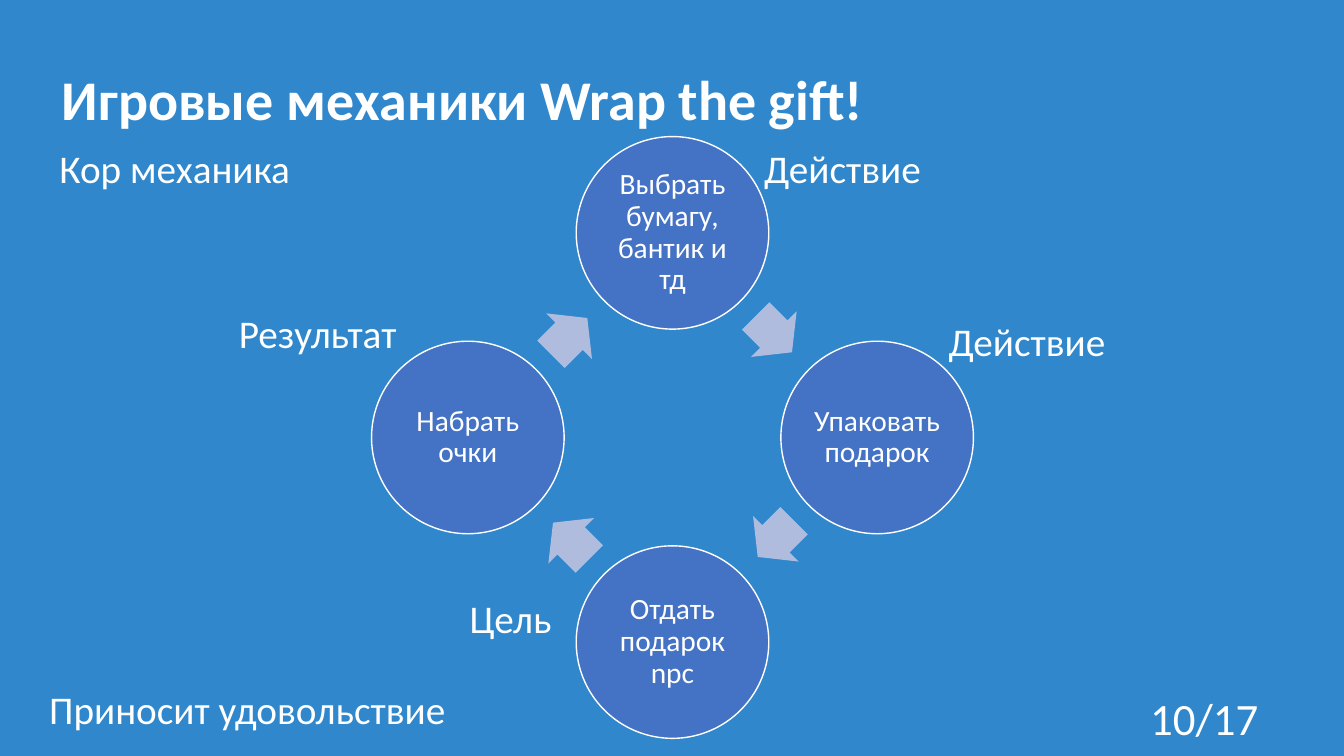
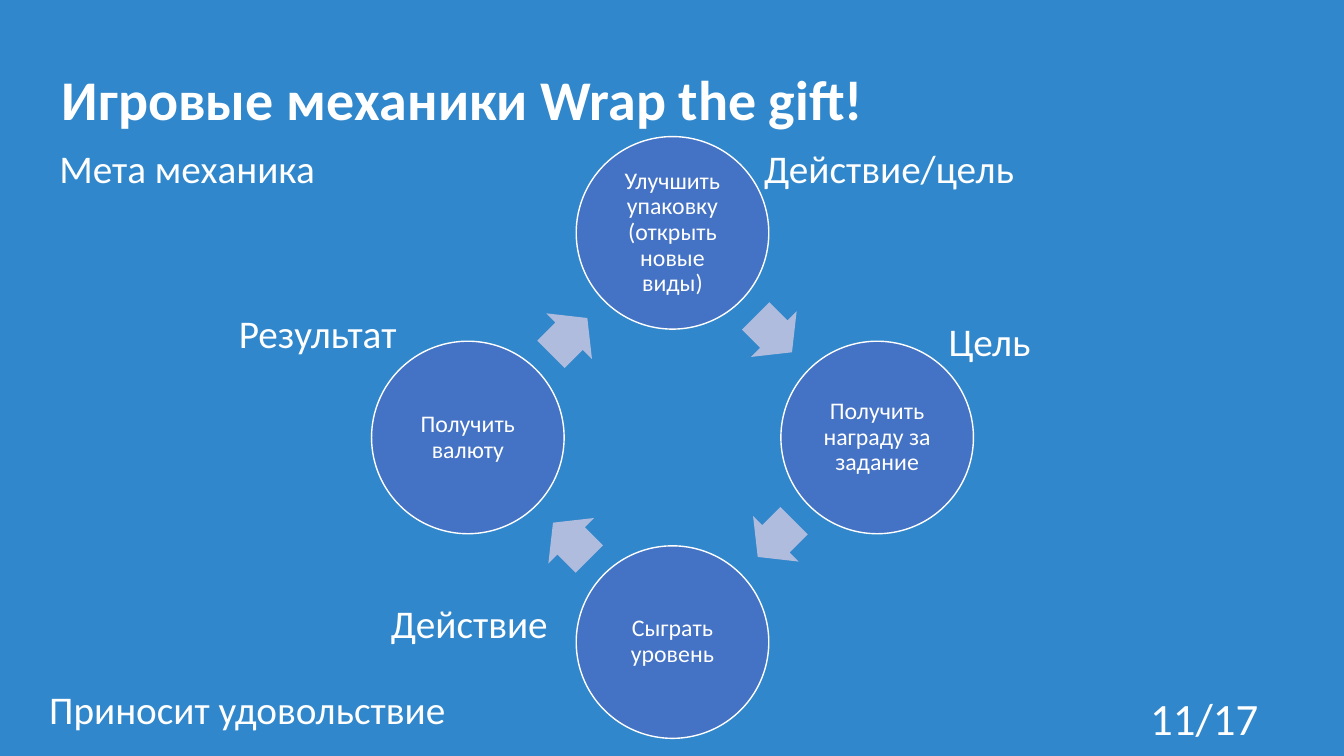
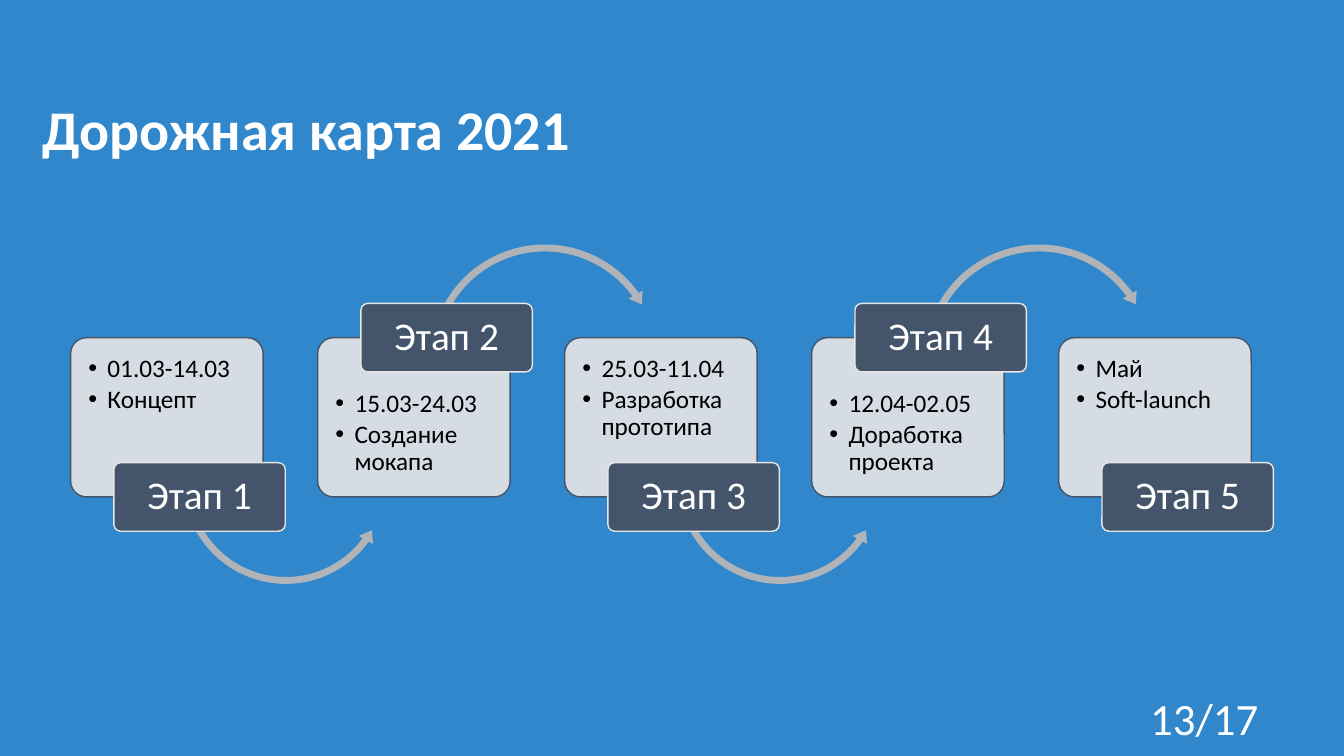
from lxml import etree
from pptx import Presentation
from pptx.dml.color import RGBColor
from pptx.enum import shapes, text
from pptx.oxml import ns
from pptx.util import Inches, Pt

CYCLE_TITLE = " Игровые механики Wrap the gift!"
CYCLES = [
    {
        "page": "10/17",
        "size": 21,
        "steps": ["Выбрать бумагу, бантик и тд", "Упаковать подарок",
                  "Отдать подарок npc", "Набрать очки"],
        "labels": [
            ("Действие", 7.48, 1.38, 1.77),
            ("Действие", 9.31, 3.1, 1.77),
            ("Цель", 4.56, 5.85, 1.02),
            ("Результат", 2.27, 3.02, 1.78),
            ("Кор механика", 0.49, 1.38, 2.52),
        ],
    },
    {
        "page": "11/17",
        "size": 17,
        "steps": ["Улучшить упаковку (открыть новые виды)", "Получить награду за задание",
                  "Сыграть уровень", "Получить валюту"],
        "labels": [
            ("Действие/цель", 7.48, 1.38, 2.7),
            ("Цель", 9.31, 3.1, 1.02),
            ("Действие", 3.78, 5.9, 1.77),
            ("Результат", 2.27, 3.02, 1.78),
            ("Мета механика", 0.49, 1.38, 2.76),
        ],
    },
]
CONCLUSION = ("Приносит удовольствие", 0.39, 6.75, 4.17)

ROADMAP_TITLE = "Дорожная карта 2021"
ROADMAP_PAGE = "13/17"
STAGES = [
    ("Этап 1", ["01.03-14.03", "Концепт"]),
    ("Этап 2", ["15.03-24.03", "Создание мокапа"]),
    ("Этап 3", ["25.03-11.04", "Разработка прототипа"]),
    ("Этап 4", ["12.04-02.05", "Доработка проекта"]),
    ("Этап 5", ["Май", "Soft-launch"]),
]

FONT = "Calibri"
WHITE = RGBColor(0xFF, 0xFF, 0xFF)
BLACK = RGBColor(0x00, 0x00, 0x00)
SKY = RGBColor(0x30, 0x87, 0xCB)
BLUE = RGBColor(0x44, 0x72, 0xC4)
LAVENDER = RGBColor(0xB0, 0xBC, 0xDE)
SLATE = RGBColor(0x44, 0x54, 0x6A)
PALE = RGBColor(0xE7, 0xE6, 0xE6)
STEEL = RGBColor(0xB0, 0xB4, 0xB9)

SHAPE = shapes.MSO_SHAPE
ALIGN = text.PP_ALIGN
ANCHOR = text.MSO_ANCHOR

RING_X, RING_Y, RING_RADIUS = 6.67, 4.34, 2.03
STEP_SIZE = 1.91
ARROW_W, ARROW_H, ARROW_SETBACK = 0.51, 0.64, 0.01
DIRECTIONS = [(0, -1), (1, 0), (0, 1), (-1, 0)]

CARD_LEFT, CARD_TOP, CARD_W, CARD_H, CARD_PITCH = 0.7, 3.35, 1.91, 1.58, 2.45
TAG_SHIFT, TAG_W, TAG_H = 0.43, 1.7, 0.68
LOWER = {"tag_top": 4.59, "text_inset": 0.13, "arc": SHAPE.LEFT_CIRCULAR_ARROW,
         "arc_top": 3.71, "arc_size": 2.13,
         "arc_adjust": [0.032, 3.999, 21.755, 90.245, 0.038]}
UPPER = {"tag_top": 3.01, "text_inset": 0.48, "arc": SHAPE.CIRCULAR_ARROW,
         "arc_top": 2.38, "arc_size": 2.37,
         "arc_adjust": [0.029, 3.559, 194.686, 125.755, 0.034]}
ARC_SHIFT = 1.07


def add_run(paragraph, words, size, color=WHITE, bold=False):
    run = paragraph.add_run()
    run.text = words
    run.font.name = FONT
    run.font.size = Pt(size)
    run.font.bold = bold
    run.font.color.rgb = color


def add_words(slide, words, left, top, width, height, size, bold=False,
              wrap=True, align=ALIGN.LEFT, anchor=ANCHOR.TOP):
    box = slide.shapes.add_textbox(Inches(left), Inches(top), Inches(width), Inches(height))
    frame = box.text_frame
    frame.word_wrap = wrap
    frame.vertical_anchor = anchor
    frame.paragraphs[0].alignment = align
    add_run(frame.paragraphs[0], words, size, bold=bold)


def add_figure(slide, kind, left, top, width, height, fill, line=None, adjust=()):
    figure = slide.shapes.add_shape(kind, Inches(left), Inches(top), Inches(width), Inches(height))
    figure.shadow.inherit = False
    figure.fill.solid()
    figure.fill.fore_color.rgb = fill
    if line is None:
        figure.line.fill.background()
    else:
        figure.line.color.rgb = line
        figure.line.width = Pt(1)
    for index, value in enumerate(adjust):
        figure.adjustments[index] = value
    return figure


def set_insets(frame, left, top, right, bottom):
    frame.margin_left, frame.margin_top = Inches(left), Inches(top)
    frame.margin_right, frame.margin_bottom = Inches(right), Inches(bottom)


def add_centred(figure, words, size, inset):
    frame = figure.text_frame
    frame.word_wrap = True
    frame.vertical_anchor = ANCHOR.MIDDLE
    set_insets(frame, inset, inset, inset, inset)
    paragraph = frame.paragraphs[0]
    paragraph.alignment = ALIGN.CENTER
    paragraph.line_spacing = 0.9
    add_run(paragraph, words, size)


def add_bullets(card, items, top_inset):
    frame = card.text_frame
    frame.word_wrap = True
    frame.vertical_anchor = ANCHOR.TOP
    set_insets(frame, 0.13, top_inset, 0.13, 0)
    for index, item in enumerate(items):
        paragraph = frame.paragraphs[0] if index == 0 else frame.add_paragraph()
        paragraph.alignment = ALIGN.LEFT
        paragraph.line_spacing = 0.9
        paragraph.space_after = Pt(2.7)
        properties = paragraph._p.get_or_add_pPr()
        properties.set("marL", str(Inches(0.19)))
        properties.set("indent", str(-Inches(0.19)))
        etree.SubElement(properties, ns.qn("a:buFont")).set("typeface", "Arial")
        etree.SubElement(properties, ns.qn("a:buChar")).set("char", "•")
        add_run(paragraph, item, 18, BLACK)


def set_opacity(figure, percent):
    color = figure.fill._xPr.find(ns.qn("a:solidFill"))[0]
    etree.SubElement(color, ns.qn("a:alpha")).set("val", str(percent * 1000))


def add_slide(prs, title, left, top, width, page):
    slide = prs.slides.add_slide(prs.slide_layouts[6])
    add_words(slide, title, left, top, width, 0.77, 40, bold=True)
    add_words(slide, page, 9.58, 6.92, 3, 0.4, 32, align=ALIGN.RIGHT, anchor=ANCHOR.MIDDLE)
    return slide


def build_cycle(prs, cycle):
    slide = add_slide(prs, CYCLE_TITLE, 0.39, 0.59, 12.21, cycle["page"])
    for index, (step, (dx, dy)) in enumerate(zip(cycle["steps"], DIRECTIONS)):
        circle = add_figure(slide, SHAPE.OVAL,
                            RING_X + dx * RING_RADIUS - STEP_SIZE / 2,
                            RING_Y + dy * RING_RADIUS - STEP_SIZE / 2,
                            STEP_SIZE, STEP_SIZE, BLUE, WHITE)
        add_centred(circle, step, cycle["size"], 0.03)
        next_dx, next_dy = DIRECTIONS[(index + 1) % len(DIRECTIONS)]
        arrow_x = RING_X + (dx + next_dx) * RING_RADIUS / 2 - (next_dx - dx) * ARROW_SETBACK
        arrow_y = RING_Y + (dy + next_dy) * RING_RADIUS / 2 - (next_dy - dy) * ARROW_SETBACK
        arrow = add_figure(slide, SHAPE.RIGHT_ARROW, arrow_x - ARROW_W / 2, arrow_y - ARROW_H / 2,
                           ARROW_W, ARROW_H, LAVENDER, adjust=[0.6, 0.5])
        arrow.rotation = 45 + 90 * index
    for label, left, top, width in cycle["labels"] + [CONCLUSION]:
        add_words(slide, label, left, top, width, 0.57, 28, wrap=False)


def build_roadmap(prs):
    slide = add_slide(prs, ROADMAP_TITLE, 0.32, 0.89, 12.07, ROADMAP_PAGE)
    for index, (stage, items) in enumerate(STAGES):
        side = UPPER if index % 2 else LOWER
        left = CARD_LEFT + index * CARD_PITCH
        card = add_figure(slide, SHAPE.ROUNDED_RECTANGLE, left, CARD_TOP, CARD_W, CARD_H,
                          PALE, SLATE, [0.1])
        set_opacity(card, 90)
        add_bullets(card, items, side["text_inset"])
        if index < len(STAGES) - 1:
            add_figure(slide, side["arc"], left + ARC_SHIFT, side["arc_top"],
                       side["arc_size"], side["arc_size"], STEEL, adjust=side["arc_adjust"])
        tag = add_figure(slide, SHAPE.ROUNDED_RECTANGLE, left + TAG_SHIFT, side["tag_top"],
                         TAG_W, TAG_H, SLATE, PALE, [0.1])
        add_centred(tag, stage, 28, 0.05)


def main():
    prs = Presentation()
    prs.slide_width, prs.slide_height = Inches(13.33), Inches(7.5)
    backdrop = prs.slide_master.background.fill
    backdrop.solid()
    backdrop.fore_color.rgb = SKY
    for cycle in CYCLES:
        build_cycle(prs, cycle)
    build_roadmap(prs)
    prs.save("out.pptx")


if __name__ == "__main__":
    main()
